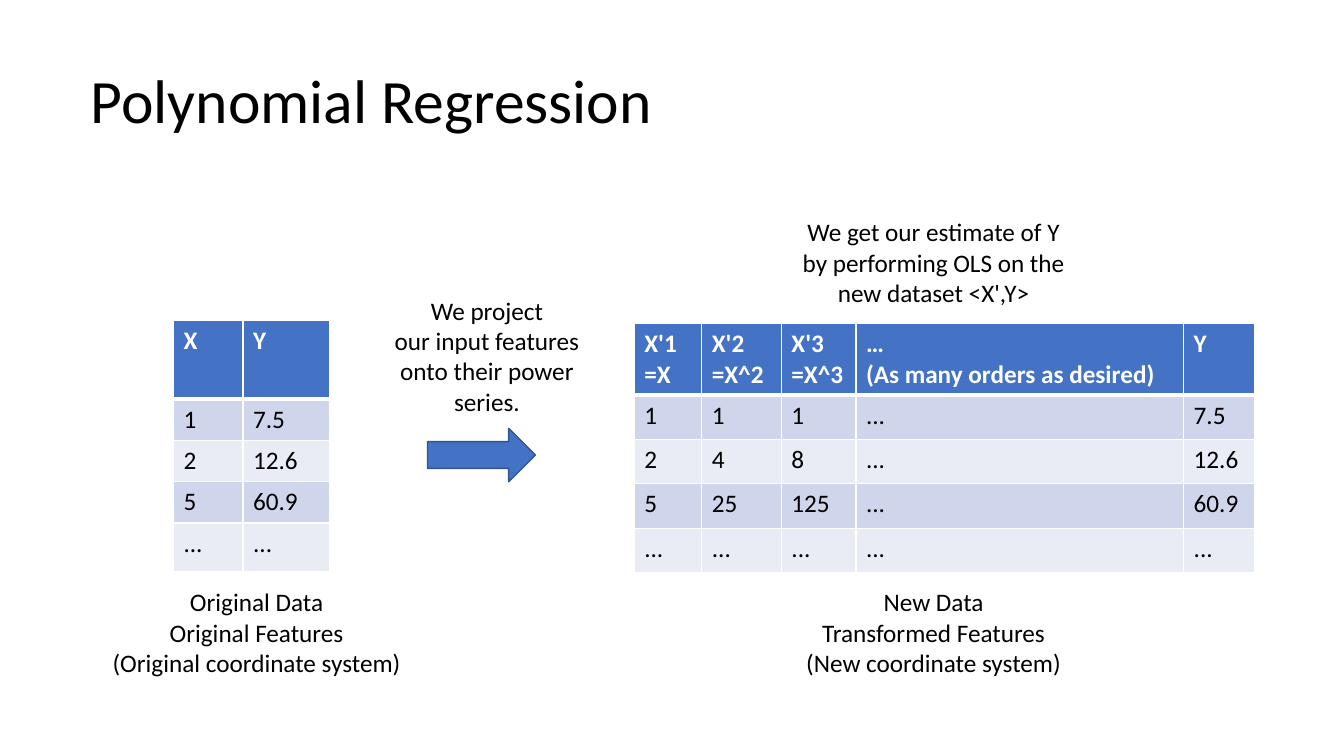
from dataclasses import dataclass

from lxml.etree import SubElement
from pptx import Presentation
from pptx.dml.color import RGBColor
from pptx.enum.shapes import MSO_SHAPE
from pptx.enum.text import MSO_ANCHOR, MSO_AUTO_SIZE, PP_ALIGN
from pptx.oxml.ns import qn
from pptx.slide import Slide
from pptx.table import _Cell
from pptx.text.text import TextFrame
from pptx.util import Inches, Pt

FONT = "Calibri"
BLACK, WHITE = "000000", "FFFFFF"
BLUE, DARK_BLUE = "4472C4", "325491"
BANDS = ("CFD5EA", "E9EBF5")
THIN, THICK = 1, 3
DOTS = "..."
WIDE_DOTS = "...\u00a0"


@dataclass(frozen=True)
class Caption:
    """A centred text box, one string per paragraph."""
    left: float
    top: float
    width: float
    height: float
    lines: tuple[str, ...]


@dataclass(frozen=True)
class DataTable:
    """A banded table whose first row is the header."""
    left: float
    top: float
    columns: tuple[float, ...]
    heights: tuple[float, ...]
    rows: tuple[tuple[str, ...], ...]


CAPTIONS = (
    Caption(7.76, 2.1, 3, 1.01,
            ("We get our estimate of Y by performing OLS on the new dataset <X',Y>",)),
    Caption(3.73, 2.88, 2.2, 1.31,
            ("We project our\u00a0input features onto their power series.",)),
    Caption(0.92, 5.77, 3.25, 1.01,
            ("Original Data", "Original Features", "(Original coordinate system)")),
    Caption(7.76, 5.77, 3, 1.01,
            ("New Data", "Transformed Features", "(New coordinate system)")),
)

TABLES = (
    DataTable(1.72, 3.18, (0.69, 0.86), (0.78, 0.41, 0.41, 0.41, 0.48), (
        ("X", "Y"),
        ("1", "7.5"),
        ("2", "12.6"),
        ("5", "60.9"),
        (DOTS, WIDE_DOTS),
    )),
    DataTable(6.29, 3.21, (0.67, 0.79, 0.74, 3.25, 0.7), (0.7,) + (0.44,) * 4, (
        ("X'1\n=X", "X'2\n=X^2", "X'3\n=X^3",
         "\u2026\u00a0\n(As many orders as desired)", "Y"),
        ("1", "1", "1", WIDE_DOTS, "7.5"),
        ("2", "4", "8", WIDE_DOTS, "12.6"),
        ("5", "25", "125", DOTS, "60.9"),
        (DOTS,) * 5,
    )),
)


def color(value: str) -> RGBColor:
    """Turn a hex string into a colour."""
    return RGBColor.from_string(value)


def write(frame: TextFrame, text: str, align: PP_ALIGN = PP_ALIGN.LEFT,
          size: float = 18, ink: str = BLACK, bold: bool = False) -> None:
    """Fill a text frame and format all its paragraphs."""
    frame.text = text
    font_values = {"name": FONT, "size": Pt(size), "bold": bold}
    for para in frame.paragraphs:
        para.alignment = align
        for span in para.runs:
            for name, value in font_values.items():
                setattr(span.font, name, value)
            span.font.color.rgb = color(ink)


def add_borders(cell: _Cell, top: float, bottom: float) -> None:
    """Give a cell white borders; top and bottom widths are in points."""
    properties = cell._tc.get_or_add_tcPr()
    widths = {"a:lnL": THIN, "a:lnR": THIN, "a:lnT": top, "a:lnB": bottom}
    for tag, width in widths.items():
        line = SubElement(properties, qn(tag), w=str(Pt(width)))
        fill = SubElement(line, qn("a:solidFill"))
        SubElement(fill, qn("a:srgbClr"), val=WHITE)


def add_caption(page: Slide, caption: Caption) -> None:
    """Draw a centred caption."""
    box = page.shapes.add_textbox(Inches(caption.left), Inches(caption.top),
                                  Inches(caption.width), Inches(caption.height))
    box.text_frame.word_wrap = True
    box.text_frame.auto_size = MSO_AUTO_SIZE.SHAPE_TO_FIT_TEXT
    write(box.text_frame, "\n".join(caption.lines), PP_ALIGN.CENTER)


def add_data_table(page: Slide, data: DataTable) -> None:
    """Draw a table with a blue header and alternating bands."""
    table = page.shapes.add_table(
        len(data.rows), len(data.columns), Inches(data.left), Inches(data.top),
        Inches(sum(data.columns)), Inches(sum(data.heights))).table
    for column, width in zip(table.columns, data.columns):
        column.width = Inches(width)
    for row, height in zip(table.rows, data.heights):
        row.height = Inches(height)
    for row_number, texts in enumerate(data.rows):
        header = row_number == 0
        for column_number, text in enumerate(texts):
            cell = table.cell(row_number, column_number)
            add_borders(cell, top=THICK if row_number == 1 else THIN,
                        bottom=THICK if header else THIN)
            cell.fill.solid()
            cell.fill.fore_color.rgb = color(BLUE if header else BANDS[(row_number - 1) % 2])
            write(cell.text_frame, text, ink=WHITE if header else BLACK, bold=header)


def add_title(page: Slide, text: str) -> None:
    """Place and format the title placeholder."""
    title = page.shapes.title
    place = {"left": 0.8, "top": 0.4, "width": 12, "height": 1.25}
    for name, value in place.items():
        setattr(title, name, Inches(value))
    write(title.text_frame, text, size=44)
    title.text_frame.vertical_anchor = MSO_ANCHOR.MIDDLE
    title.text_frame.paragraphs[0].line_spacing = 0.9


def add_projection_arrow(page: Slide) -> None:
    """Draw the block arrow between the two tables."""
    arrow = page.shapes.add_shape(MSO_SHAPE.RIGHT_ARROW, Inches(4.24), Inches(4.25),
                                  Inches(1.07), Inches(0.53))
    arrow.shadow.inherit = False
    arrow.fill.solid()
    arrow.fill.fore_color.rgb = color(BLUE)
    arrow.line.color.rgb = color(DARK_BLUE)
    arrow.line.width = Pt(1)


deck = Presentation()
deck.slide_width, deck.slide_height = Inches(13.33), Inches(7.5)
page = deck.slides.add_slide(deck.slide_layouts[5])
add_title(page, "Polynomial Regression")
add_projection_arrow(page)
for data in TABLES:
    add_data_table(page, data)
for caption in CAPTIONS:
    add_caption(page, caption)
deck.save("out.pptx")
